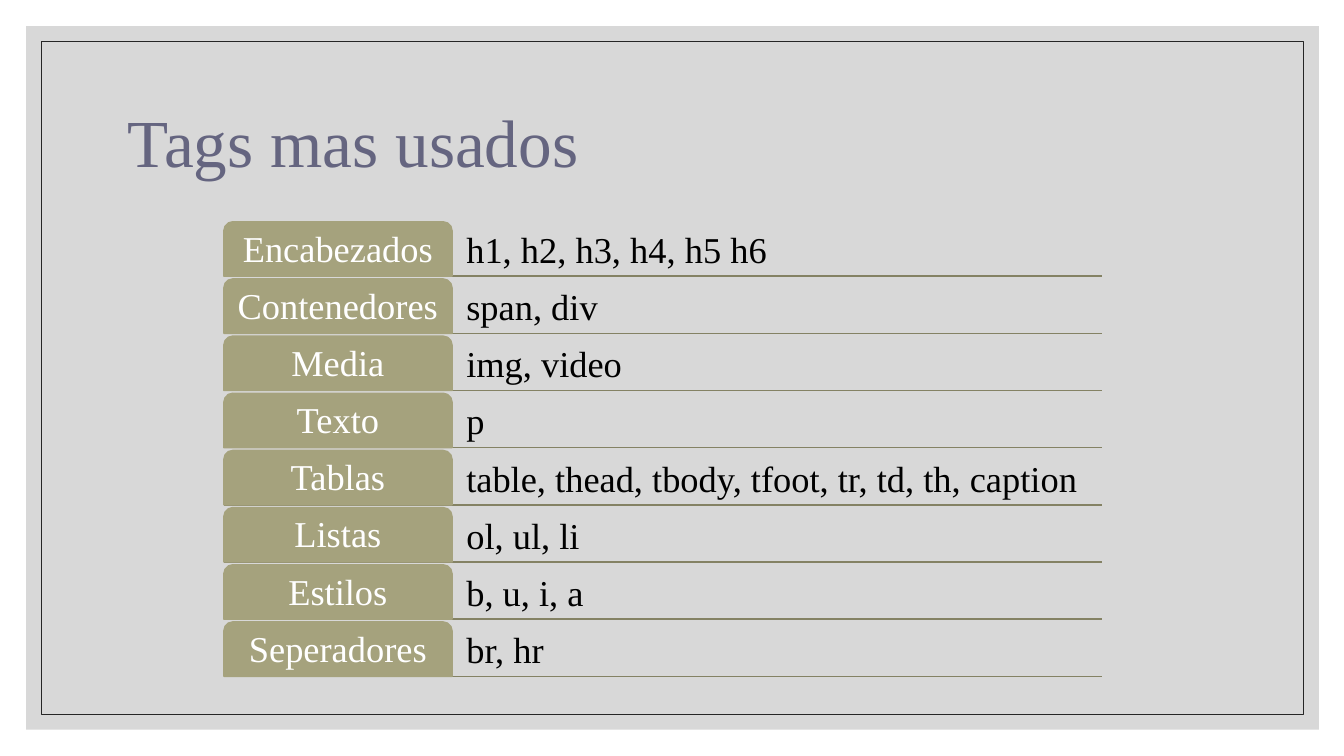
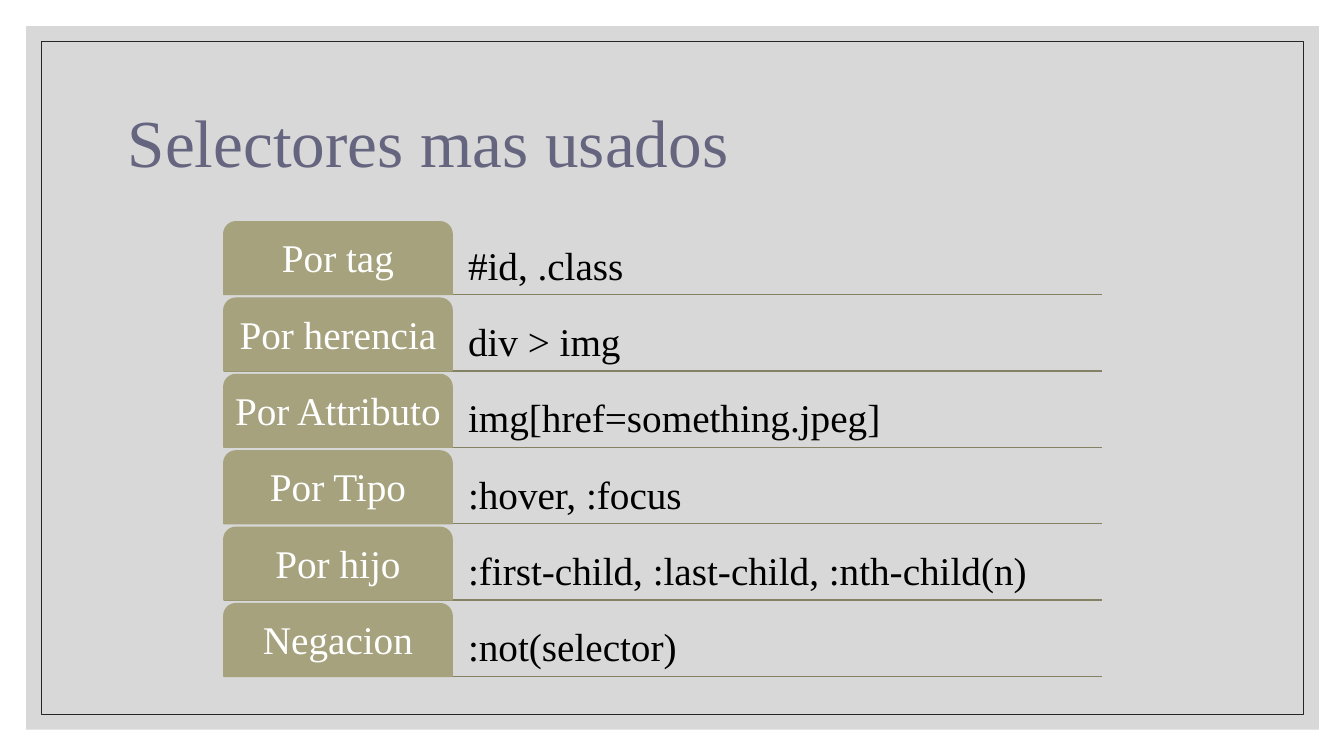
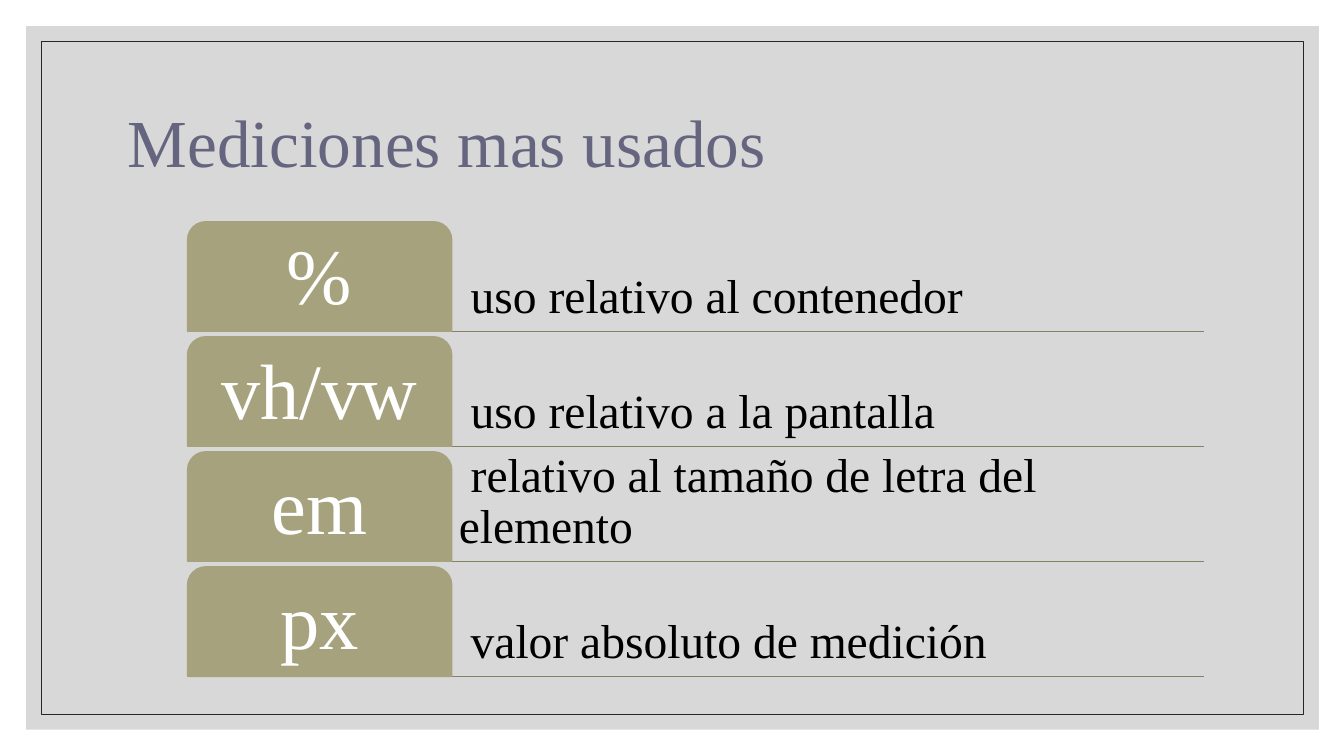
from lxml.etree import SubElement
from pptx import Presentation
from pptx.dml.color import RGBColor
from pptx.enum.shapes import MSO_CONNECTOR, MSO_SHAPE
from pptx.enum.text import MSO_ANCHOR, PP_ALIGN
from pptx.oxml.ns import qn
from pptx.util import Inches, Pt

# Content: title, left edge, width, text sizes, insets, rows
SLIDES = [
    dict(title="Tags mas usados", left=2.22, width=8.71,
         sizes=(26, 26), pads=(0.05, 0.05), rows=[
             ("Encabezados", "h1, h2, h3, h4, h5 h6"),
             ("Contenedores", "span, div"),
             ("Media", "img, video"),
             ("Texto", "p"),
             ("Tablas", "table, thead, tbody, tfoot, tr, td, th, caption"),
             ("Listas", "ol, ul, li"),
             ("Estilos", "b, u, i, a"),
             ("Seperadores", "br, hr"),
         ]),
    dict(title="Selectores mas usados", left=2.22, width=8.71,
         sizes=(28, 28), pads=(0.06, 0.06), rows=[
             ("Por tag", "#id, .class"),
             ("Por herencia", "div > img"),
             ("Por Attributo", "img[href=something.jpeg]"),
             ("Por Tipo", ":hover, :focus"),
             ("Por hijo", ":first-child, :last-child, :nth-child(n)"),
             ("Negacion", ":not(selector)"),
         ]),
    dict(title="Mediciones mas usados", left=1.86, width=10.08,
         sizes=(56, 34), pads=(0.12, 0.07), rows=[
             ("%", "uso relativo al contenedor"),
             ("vh/vw", "uso relativo a la pantalla"),
             ("em", "relativo al tamaño de letra del elemento"),
             ("px", "valor absoluto de medición"),
         ]),
]

# Shared style
FONT = "Times New Roman"
COLORS = dict(back="FFFFFF", panel="BFBFBF", frame="262626", title="656580",
              tab="A5A27D", rule="848264", label="FFFFFF", body="000000")
TOP, BOTTOM = 2.2, 6.71
TAB = 0.26   # share of the list width taken by the tab
GAP = 0.05   # gap between rows, as a share of the row height


def color(name):
    return RGBColor.from_string(COLORS[name])


def write(frame, text, size, tint, anchor=MSO_ANCHOR.MIDDLE,
          align=PP_ALIGN.LEFT, pad=None, indent=0):
    frame.word_wrap = True
    frame.vertical_anchor = anchor
    if pad is not None:
        frame.margin_left = frame.margin_right = Inches(pad)
        frame.margin_top = frame.margin_bottom = Inches(pad)
    para = frame.paragraphs[0]
    para.alignment = align
    para.line_spacing = 0.9
    if indent:
        para._p.get_or_add_pPr().set("indent", str(Pt(indent)))
    run = para.add_run()
    run.text = text
    run.font.name = FONT
    run.font.size = Pt(size)
    run.font.color.rgb = color(tint)


def add_box(slide, kind, place, fill=None, line=None, weight=1, alpha=None):
    box = slide.shapes.add_shape(kind, *map(Inches, place))
    box.shadow.inherit = False
    if fill:
        box.fill.solid()
        box.fill.fore_color.rgb = color(fill)
    else:
        box.fill.background()
    if alpha:
        tone = box._element.spPr.find(qn("a:solidFill"))[0]
        SubElement(tone, qn("a:alpha")).set("val", str(alpha * 1000))
    if line:
        box.line.color.rgb = color(line)
        box.line.width = Pt(weight)
    else:
        box.line.fill.background()
    return box


def add_text(slide, place, text, **style):
    box = slide.shapes.add_textbox(*map(Inches, place))
    write(box.text_frame, text, **style)


def add_rule(slide, left, right, y):
    rule = slide.shapes.add_connector(
        MSO_CONNECTOR.STRAIGHT, *map(Inches, (left, y, right, y)))
    rule.line.color.rgb = color("rule")
    rule.line.width = Pt(1)
    SubElement(rule._element.spPr, qn("a:effectLst"))


def add_base(deck, title):
    slide = deck.slides.add_slide(deck.slide_layouts[6])
    slide.background.fill.solid()
    slide.background.fill.fore_color.rgb = color("back")
    add_box(slide, MSO_SHAPE.RECTANGLE, (0.26, 0.26, 12.82, 6.98),
            fill="panel", alpha=60)
    add_box(slide, MSO_SHAPE.RECTANGLE, (0.41, 0.41, 12.52, 6.68),
            line="frame", weight=0.5)
    add_text(slide, (1.17, 0.7, 11, 1.5), title, size=48, tint="title")
    return slide


def add_list(slide, left, width, sizes, pads, rows):
    count = len(rows)
    high = (BOTTOM - TOP) / (count + (count - 1) * GAP)
    tops = [TOP + i * high * (1 + GAP) for i in range(count)]
    wide = width * TAB
    for top in tops:
        add_rule(slide, left, left + width, top + high)
    for top, (label, body) in zip(tops, rows):
        # Body text starts a quarter em in, on its first line only
        add_text(slide, (left + wide, top, width - wide, high), body,
                 size=sizes[1], tint="body", anchor=MSO_ANCHOR.BOTTOM,
                 pad=pads[1], indent=sizes[1] / 4)
        tab = add_box(slide, MSO_SHAPE.ROUND_2_SAME_RECTANGLE,
                      (left, top, wide, high), fill="tab", line="tab")
        write(tab.text_frame, label, size=sizes[0], tint="label",
              align=PP_ALIGN.CENTER, pad=pads[0])


def main():
    deck = Presentation()
    deck.slide_width, deck.slide_height = Inches(13.33), Inches(7.5)
    for item in SLIDES:
        slide = add_base(deck, item["title"])
        add_list(slide, item["left"], item["width"], item["sizes"],
                 item["pads"], item["rows"])
    deck.save("out.pptx")


if __name__ == "__main__":
    main()
